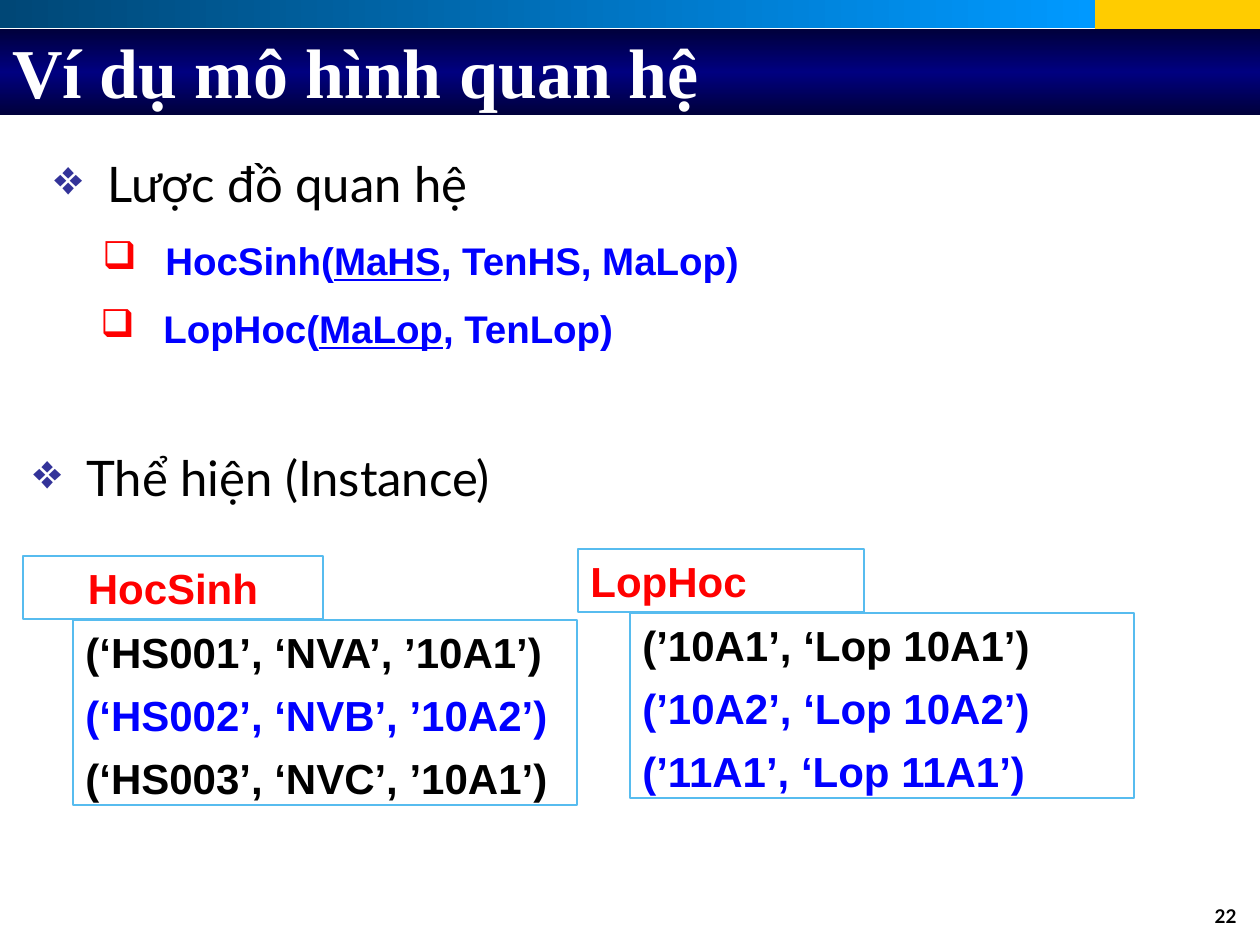
"""Build the slide on the relational model example."""
from copy import deepcopy
from lxml.etree import SubElement
from pptx import Presentation
from pptx.dml.color import RGBColor as Rgb
from pptx.enum.shapes import MSO_SHAPE as Kind
from pptx.enum.text import MSO_ANCHOR as Anchor, PP_ALIGN as Align
from pptx.oxml.ns import qn
from pptx.util import Pt

SCALE = 914400 / 126
HUES = {
    "gold": "FFCC00", "teal": "004776", "sky": "0099FF", "night": "00003B",
    "navy": "000080", "white": "FFFFFF", "black": "000000", "blue": "0000FF",
    "red": "FF0000", "plum": "333399", "edge": "57BCEF",
}
HUES = {name: Rgb.from_string(code) for name, code in HUES.items()}

deck = Presentation()
deck.slide_width, deck.slide_height = round(1260 * SCALE), round(945 * SCALE)
slide = deck.slides.add_slide(deck.slide_layouts[6])


def rect(area, fill=None, edge=None):
    shape = slide.shapes.add_shape(Kind.RECTANGLE, *[round(n * SCALE) for n in area])
    shape.shadow.inherit = False
    if fill:
        shape.fill.solid()
        shape.fill.fore_color.rgb = HUES[fill]
    else:
        shape.fill.background()
    if edge:
        shape.line.color.rgb = HUES[edge]
        shape.line.width = Pt(0.75)
    else:
        shape.line.fill.background()
    return shape


def write(shape, lines, font, align=Align.LEFT, anchor=Anchor.TOP, mark=None, space=1):
    frame = shape.text_frame
    frame.word_wrap = True
    frame.vertical_anchor = anchor
    for i, (parts, hue) in enumerate(lines):
        para = frame.paragraphs[0] if i == 0 else frame.add_paragraph()
        para.alignment = align
        para.line_spacing = space
        if i:
            para.space_before = Pt(7.2)
        if mark:
            sign, tint, gap = mark
            props = para._p.get_or_add_pPr()
            props.set("marL", str(round(gap * SCALE)))
            props.set("indent", str(-round(gap * SCALE)))
            color = SubElement(props, qn("a:buClr"))
            SubElement(color, qn("a:srgbClr"), val=str(HUES[tint]))
            SubElement(props, qn("a:buChar"), char=sign)
        for j, part in enumerate(parts):
            run = para.add_run()
            run.text = part
            for key, value in font.items():
                setattr(run.font, key, value)
            run.font.underline = j == 1
            run.font.color.rgb = HUES[hue]


rect((1095, 0, 165, 35), "gold")
bars = [
    ((0, 0, 1095, 28), 0, ["teal", "sky"]),
    ((0, 29, 1260, 86), 90, ["night", "navy", "night"]),
]
for area, angle, tints in bars:
    bar = rect(area)
    bar.fill.gradient()
    bar.fill.gradient_angle = angle
    stops = bar.fill.gradient_stops
    if len(tints) == 3:
        first = bar._element.spPr.find(".//" + qn("a:gs"))
        first.addnext(deepcopy(first))
        stops = bar.fill.gradient_stops
    for i, (stop, tint) in enumerate(zip(stops, tints)):
        stop.color.rgb = HUES[tint]
        stop.position = i / (len(tints) - 1)

fonts = {
    "page": {"name": "Lato", "size": Pt(10.8), "bold": True},
    "title": {"name": "Times New Roman", "size": Pt(40), "bold": True},
    "head": {"name": "Lato", "size": Pt(28), "bold": False},
    "item": {"name": "Arial", "size": Pt(22), "bold": True},
    "data": {"name": "Arial", "size": Pt(24), "bold": True},
}
write(rect((955, 903, 294, 40)), [(["22"], "black")], fonts["page"], Align.RIGHT, space=0.8)
write(rect((0, 42, 1194, 57)), [(["Ví dụ mô hình quan hệ"], "white")],
      fonts["title"], anchor=Anchor.MIDDLE)

heads = [(42, 147, "Lược đồ quan hệ"), (21, 441, "Thể hiện (Instance)")]
for x, y, text in heads:
    write(rect((x, y, 1061, 105)), [([text], "black")], fonts["head"],
          Align.JUSTIFY, mark=("❖", "plum", 53))

items = [
    (90, 231, ["HocSinh(", "MaHS", ", TenHS, MaLop)"]),
    (88, 299, ["LopHoc(", "MaLop", ", TenLop)"]),
]
for x, y, parts in items:
    write(rect((x, y, 1118, 59)), [(parts, "blue")], fonts["item"],
          mark=("❑", "red", 63))

tables = [
    ("HocSinh", (23, 556, 300, 63), Align.CENTER, (73, 620, 504, 185), [
        ("(‘HS001’, ‘NVA’, ’10A1’)", "black"),
        ("(‘HS002’, ‘NVB’, ’10A2’)", "blue"),
        ("(‘HS003’, ‘NVC’, ’10A1’)", "black"),
    ]),
    ("LopHoc", (578, 549, 286, 63), Align.LEFT, (630, 613, 504, 185), [
        ("(’10A1’, ‘Lop 10A1’)", "black"),
        ("(’10A2’, ‘Lop 10A2’)", "blue"),
        ("(’11A1’, ‘Lop 11A1’)", "blue"),
    ]),
]
for name, tab, align, body, rows in tables:
    write(rect(body, edge="edge"), [([text], hue) for text, hue in rows], fonts["data"])
    write(rect(tab, "white", "edge"), [([name], "red")], fonts["data"], align)

deck.save("out.pptx")
